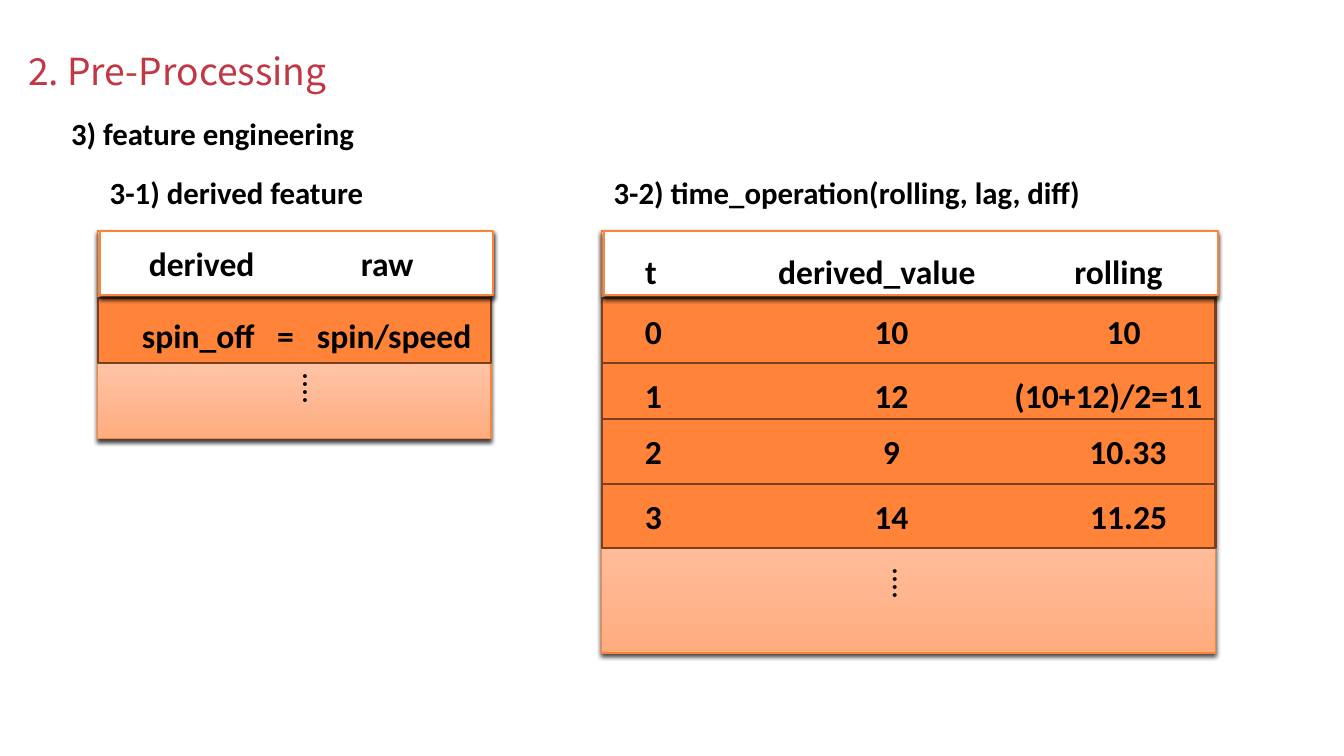
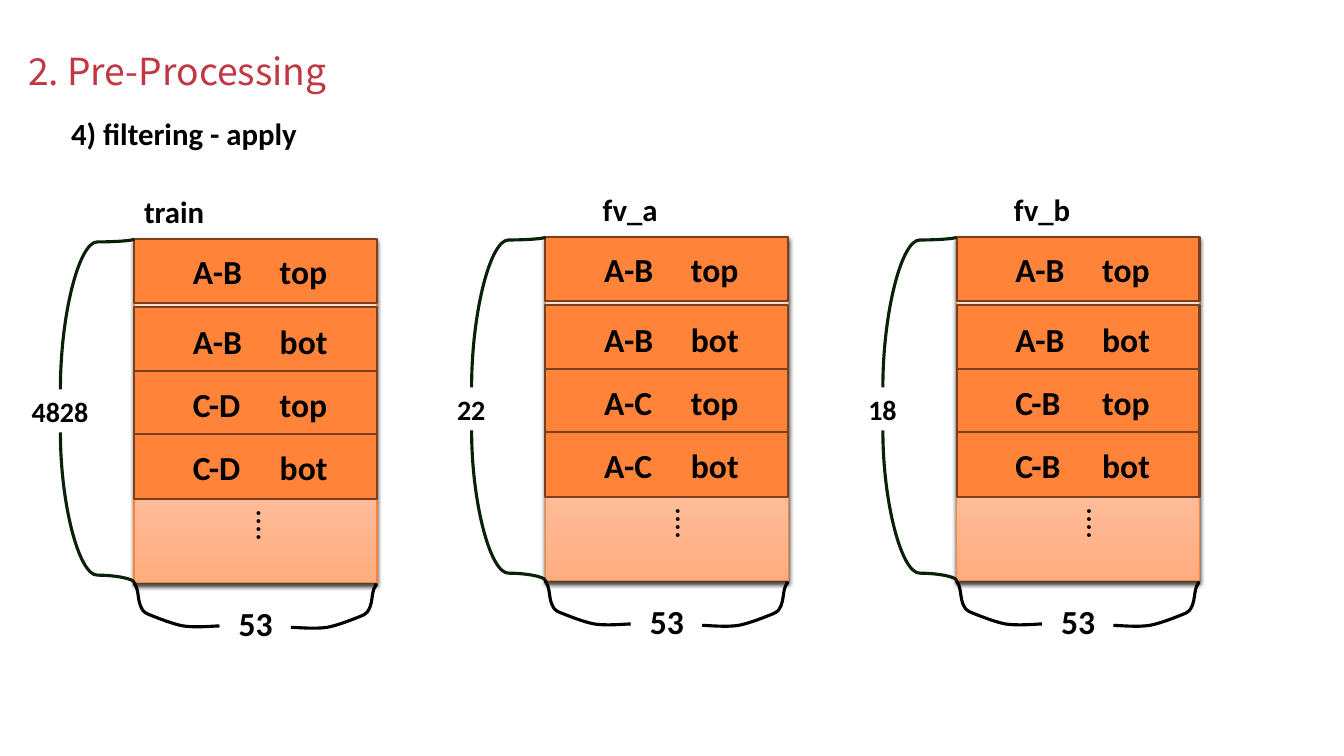
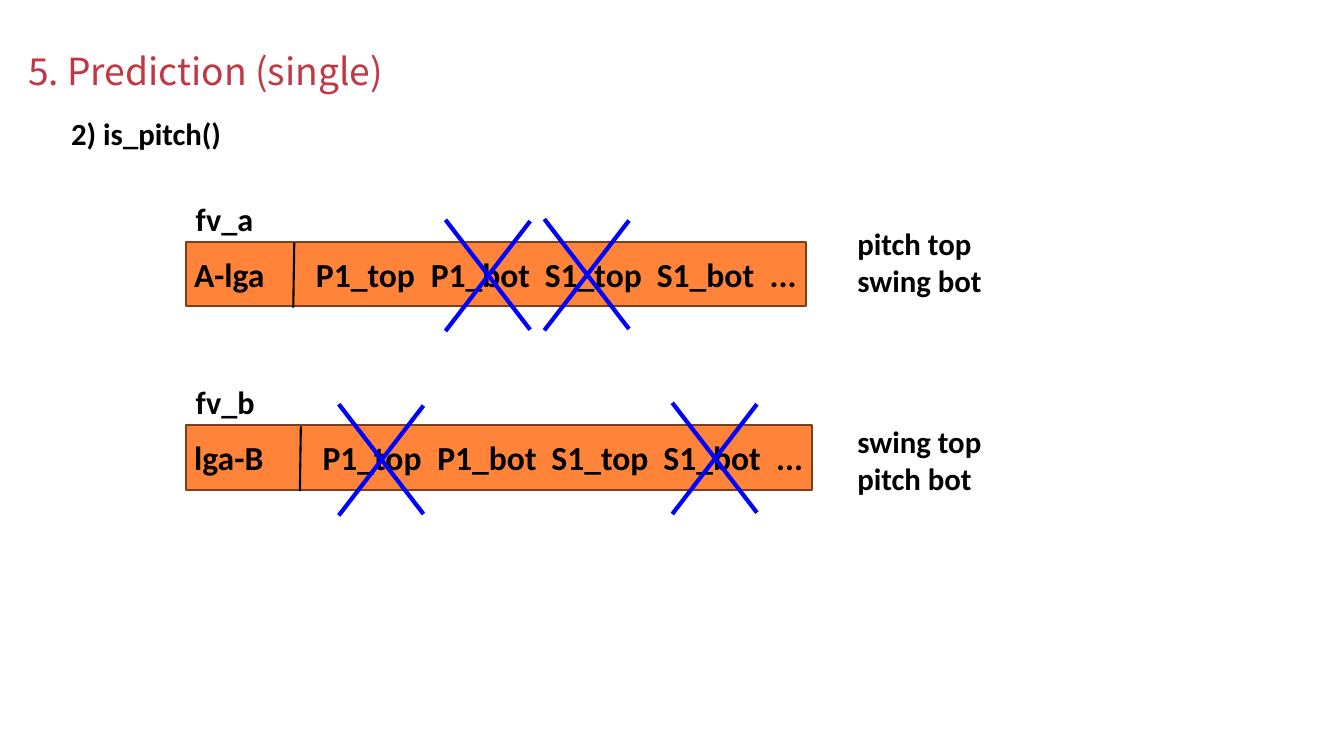
from copy import deepcopy

from lxml.etree import SubElement
from pptx import Presentation
from pptx.dml.color import RGBColor
from pptx.enum.shapes import MSO_CONNECTOR, MSO_SHAPE
from pptx.enum.text import MSO_ANCHOR, MSO_AUTO_SIZE, PP_ALIGN
from pptx.oxml.ns import qn
from pptx.util import Pt

# Colours
BLACK = RGBColor(0x00, 0x00, 0x00)
WHITE = RGBColor(0xFF, 0xFF, 0xFF)
CRIMSON = RGBColor(0xC1, 0x38, 0x44)
ORANGE = RGBColor(0xFF, 0x84, 0x3A)
BROWN = RGBColor(0x7A, 0x3F, 0x1C)
DARK_GREEN = RGBColor(0x08, 0x21, 0x08)
BLUE = RGBColor(0x00, 0x00, 0xFF)
PANEL_EDGE = RGBColor(0xFF, 0x83, 0x35)
PANEL_STOPS = [
    (0, RGBColor(0xFF, 0xAC, 0x7F)),
    (0.35, RGBColor(0xFF, 0xC3, 0xA5)),
    (1, RGBColor(0xFF, 0xE7, 0xD9)),
]

# Text formats
TITLE_FONT = {"name": "Noto Sans CJK KR", "size": Pt(26.67), "bold": False}
HEADING_FONT = {"name": "Calibri", "size": Pt(22), "bold": True}
ROW_FONT = HEADING_FONT | {"size": Pt(24)}
TEAM_FONT = HEADING_FONT | {"size": Pt(23)}
COUNT_FONT = HEADING_FONT | {"size": Pt(20)}
DOTS_FONT = TEAM_FONT | {"bold": False}
LEFT = {"alignment": PP_ALIGN.LEFT}
CENTER = {"alignment": PP_ALIGN.CENTER}
NO_MARGINS = {"margin_left": 0, "margin_right": 0, "margin_top": 0, "margin_bottom": 0}
ROW_HEIGHT = 46

# Left half of the brace under a stack: start point, then Bézier control points
BRACE_START = (61, 31)
BRACE_CONTROLS = [
    (57, 31), (44, 32.4), (35, 31),
    (27, 29.5), (16, 25), (11, 23),
    (6, 21), (6, 19.5), (4.5, 16.5),
    (3, 13), (3, 7), (2, 4.5),
    (1.5, 2), (0, 1.5), (0, 0.5),
    (0, 0), (0.5, 1), (1, 1.5),
]


def apply(target, values):
    for name, value in values.items():
        setattr(target, name, value)


def box(left, top, width, height):
    return Pt(left), Pt(top), Pt(width), Pt(height)


# Text
def write(frame, text, font, paragraph=LEFT, color=BLACK, tabs=(), tab_align="l",
          **layout):
    frame.text = text
    apply(frame, {"word_wrap": True, "auto_size": MSO_AUTO_SIZE.NONE} | layout)
    for line in frame.paragraphs:
        apply(line, paragraph)
        for run in line.runs:
            apply(run.font, font)
            run.font.color.rgb = color
        if tabs:
            stops = SubElement(line._p.get_or_add_pPr(), qn("a:tabLst"))
            for stop in tabs:
                SubElement(stops, qn("a:tab"), pos=str(int(Pt(stop))), algn=tab_align)


def add_label(slide, area, text, font=HEADING_FONT, paragraph=LEFT):
    label = slide.shapes.add_textbox(*box(*area))
    write(label.text_frame, text, font, paragraph)
    return label


def add_dots(slide, left, top):
    dots = add_label(slide, (left, top, 43, 55), "....", DOTS_FONT)
    dots.text_frame._txBody.bodyPr.set("vert", "eaVert")


def add_slide(deck, title, heading):
    slide = deck.slides.add_slide(deck.slide_layouts[1])
    title_holder, heading_holder = slide.placeholders
    areas = [(title_holder, (20, 18, 381, 60)), (heading_holder, (43.6, 78, 517, 33))]
    for holder, area in areas:
        apply(holder, dict(zip(("left", "top", "width", "height"), box(*area))))
    write(title_holder.text_frame, title, TITLE_FONT, LEFT | {"line_spacing": 1.16},
          CRIMSON, vertical_anchor=MSO_ANCHOR.MIDDLE, **NO_MARGINS)
    write(heading_holder.text_frame, heading, HEADING_FONT,
          LEFT | {"space_before": Pt(0)})
    properties = heading_holder.text_frame.paragraphs[0]._p.get_or_add_pPr()
    properties.set("marL", "0")
    properties.set("indent", "0")
    SubElement(properties, qn("a:buNone"))
    return slide


# Boxes
def add_shadow(shape):
    effects = shape.element.spPr.find(qn("a:effectLst"))
    shadow = SubElement(effects, qn("a:outerShdw"), blurRad=str(int(Pt(3))),
                        dist=str(int(Pt(2))), dir="5400000", rotWithShape="0")
    color = SubElement(shadow, qn("a:srgbClr"), val=str(BLACK))
    SubElement(color, qn("a:alpha"), val="75000")


def add_rectangle(slide, area, fill, edge, edge_width=1.5):
    rectangle = slide.shapes.add_shape(MSO_SHAPE.RECTANGLE, *box(*area))
    rectangle.shadow.inherit = False
    if fill:
        rectangle.fill.solid()
        rectangle.fill.fore_color.rgb = fill
    rectangle.line.color.rgb = edge
    rectangle.line.width = Pt(edge_width)
    return rectangle


def add_panel(slide, area):
    panel = add_rectangle(slide, area, None, PANEL_EDGE, 1)
    panel.fill.gradient()
    panel.fill.gradient_angle = 90
    stops = panel.element.spPr.find(".//" + qn("a:gsLst"))
    stops.append(deepcopy(stops[0]))
    for stop, (position, color) in zip(panel.fill.gradient_stops, PANEL_STOPS):
        stop.position = position
        stop.color.rgb = color
    add_shadow(panel)


def add_row(slide, area, texts, tabs, inset, drop=0, tab_align="l",
            fill=ORANGE, edge=BROWN):
    row = add_rectangle(slide, area, fill, edge)
    write(row.text_frame, "\t".join(texts), ROW_FONT, tabs=tabs, tab_align=tab_align,
          vertical_anchor=MSO_ANCHOR.MIDDLE,
          **NO_MARGINS | {"margin_left": Pt(inset), "margin_top": Pt(drop)})
    return row


def add_header(slide, area, texts, tabs, inset, drop=0, tab_align="l"):
    add_shadow(add_row(slide, area, texts, tabs, inset, drop, tab_align, WHITE, ORANGE))


# Lines
def add_line(slide, start, end, color, width, kind=MSO_CONNECTOR.STRAIGHT):
    ends = [Pt(value) for value in (*start, *end)]
    line = slide.shapes.add_connector(kind, *ends)
    line.line.color.rgb = color
    line.line.width = Pt(width)
    SubElement(line.element.spPr, qn("a:effectLst"))
    return line


def add_bracket_arm(slide, start, end, rotation, bend):
    arm = add_line(slide, start, end, DARK_GREEN, 2.25, MSO_CONNECTOR.CURVE)
    properties = arm.element.spPr
    properties.find(qn("a:xfrm")).set("rot", str(rotation * 60000))
    geometry = properties.find(qn("a:prstGeom"))
    guides = geometry.find(qn("a:avLst"))
    if guides is None:
        guides = SubElement(geometry, qn("a:avLst"))
    SubElement(guides, qn("a:gd"), name="adj1", fmla=f"val {bend}")


def add_brace_half(slide, left, top, direction):
    start, *controls = [(Pt(left + direction * x), Pt(top + y))
                        for x, y in (BRACE_START, *BRACE_CONTROLS)]
    builder = slide.shapes.build_freeform(*start)
    builder.add_line_segments(controls, close=False)
    half = builder.convert_to_shape()
    half.shadow.inherit = False
    half.fill.background()
    half.line.color.rgb = BLACK
    half.line.width = Pt(2.25)
    # Every three straight segments become one Bézier curve
    outline = half.element.spPr.find(".//" + qn("a:path"))
    segments = outline.findall(qn("a:lnTo"))
    for first in range(0, len(segments), 3):
        curve = SubElement(outline, qn("a:cubicBezTo"))
        for segment in segments[first:first + 3]:
            curve.append(segment[0])
            outline.remove(segment)


def add_cross(slide, left, top):
    right, bottom = left + 60.5, top + 78.5
    add_line(slide, (left, top), (right, bottom), BLUE, 3)
    add_line(slide, (right, top + 1), (left, bottom + 1), BLUE, 3)


# Data stack with its row and column counts
def add_stack(slide, left, top, name, name_shift, dots_shift, count, rows):
    width, height = 173.5, 245.5
    add_panel(slide, (left, top, width, height))
    for row_top, drop, texts in zip((0, 48.5, 94.3, 139.7), (0, 3, 1, 0), rows):
        add_row(slide, (left, top + row_top, width, ROW_HEIGHT), texts, (62,), 42, drop)
    add_dots(slide, left + dots_shift, top + 186)
    add_label(slide, (left + name_shift, top - 36.5, 87, 33), name)
    add_label(slide, (left - 86.4, top + 107.7, 67, 31), count, COUNT_FONT, CENTER)
    add_label(slide, (left + 35.3, top + 256.3, 103, 35), "53", ROW_FONT, CENTER)
    arm_left, arm_right = left - 80, left + 27.3
    upper, lower = top + 27.5, top + 165.5
    add_bracket_arm(slide, (arm_right, upper + 52.7), (arm_left, upper), 90, 98100)
    add_bracket_arm(slide, (arm_right, lower), (arm_left, lower + 52.7), 270, 95100)
    add_brace_half(slide, left, top + height, 1)
    add_brace_half(slide, left + width - 0.5, top + height + 1, -1)


# Feature row with its dropped columns
def add_pitch_row(slide, top, name, team, shift, crosses, note, note_top):
    left = 132.7
    features = ("P1_top", "P1_bot", "S1_top", "S1_bot", "...")
    tabs = [stop + shift for stop in (87, 169, 250.5, 330.5, 411)]
    add_row(slide, (left, top, 442.8 + shift, ROW_HEIGHT), (team, *features), tabs, 6)
    divider = left + 77.5 + shift
    add_line(slide, (divider, top + 0.7), (divider - 0.7, top + 47), BLACK, 1.5)
    add_label(slide, (left, top - 34, 114, 35), name, TEAM_FONT)
    add_label(slide, (605.3, note_top, 143, 60), note)
    for cross_left, cross_top in crosses:
        add_cross(slide, cross_left, cross_top)


# Slides
def build_features(deck):
    slide = add_slide(deck, "2. Pre-Processing", "3) feature engineering")
    top, first_row = 164.9, 213.1

    # Derived features
    left, width = 69.8, 281
    add_label(slide, (71.3, 120.7, 279, 33), "3-1) derived feature")
    add_panel(slide, (left, top, width, 148.3))
    add_dots(slide, 200.2, 259)
    add_row(slide, (left, first_row, width, ROW_HEIGHT),
            ("spin_off", "=", "spin/speed"), (96.5, 125), 31.6, 6.5)
    add_header(slide, (left + 1.5, top, width, ROW_HEIGHT),
               ("derived", "raw"), (151.5,), 35)

    # Time operations, with the centre of each value after the first
    left, width = 429.8, 438.5
    add_label(slide, (431.3, 120.7, 363, 33), "3-2) time_operation(rolling, lag, diff)")
    add_panel(slide, (left, top, width, 301.7))
    add_dots(slide, 621.4, 398)
    rows = [
        (first_row, ("0", "10", "10"), 342),
        (259.2, ("1", "12", "(10+12)/2=11"), 331),
        (299.5, ("2", "9", "10.33"), 345),
        (345.6, ("3", "14", "11.25"), 345.5),
    ]
    for row_top, texts, rolling_center in rows:
        add_row(slide, (left, row_top, width, ROW_HEIGHT), texts,
                (176, rolling_center), 30.9, tab_align="ctr")
    add_header(slide, (left + 1.5, top, width, ROW_HEIGHT),
               ("t", "derived_value", "rolling"), (165.5, 338), 29.6, 11.5, "ctr")


def build_filtering(deck):
    slide = add_slide(deck, "2. Pre-Processing", "4) filtering - apply")
    stacks = [
        (170.6, "train", 0, 71.3, "4828", "C-D"),
        (169.2, "fv_a", 33.8, 77, "22", "A-C"),
        (169.2, "fv_b", 33.8, 77, "18", "C-B"),
    ]
    for index, (top, name, name_shift, dots_shift, count, pair) in enumerate(stacks):
        rows = [(teams, half) for teams in ("A-B", pair) for half in ("top", "bot")]
        add_stack(slide, 95.8 + index * 293.75, top, name, name_shift, dots_shift,
                  count, rows)


def build_prediction(deck):
    slide = add_slide(deck, "5. Prediction (single)", "2) is_pitch()")
    add_pitch_row(slide, 172.8, "fv_a", "A-lga", 0, [(318.2, 157), (388.8, 156.5)],
                  "pitch top\nswing bot", 157)
    add_pitch_row(slide, 303.8, "fv_b", "lga-B", 4.7, [(242, 288.7), (480.2, 287.7)],
                  "swing top\npitch bot", 298.3)


def main():
    deck = Presentation()
    apply(deck, {"slide_width": Pt(960), "slide_height": Pt(540)})
    build_features(deck)
    build_filtering(deck)
    build_prediction(deck)
    deck.save("out.pptx")


if __name__ == "__main__":
    main()
